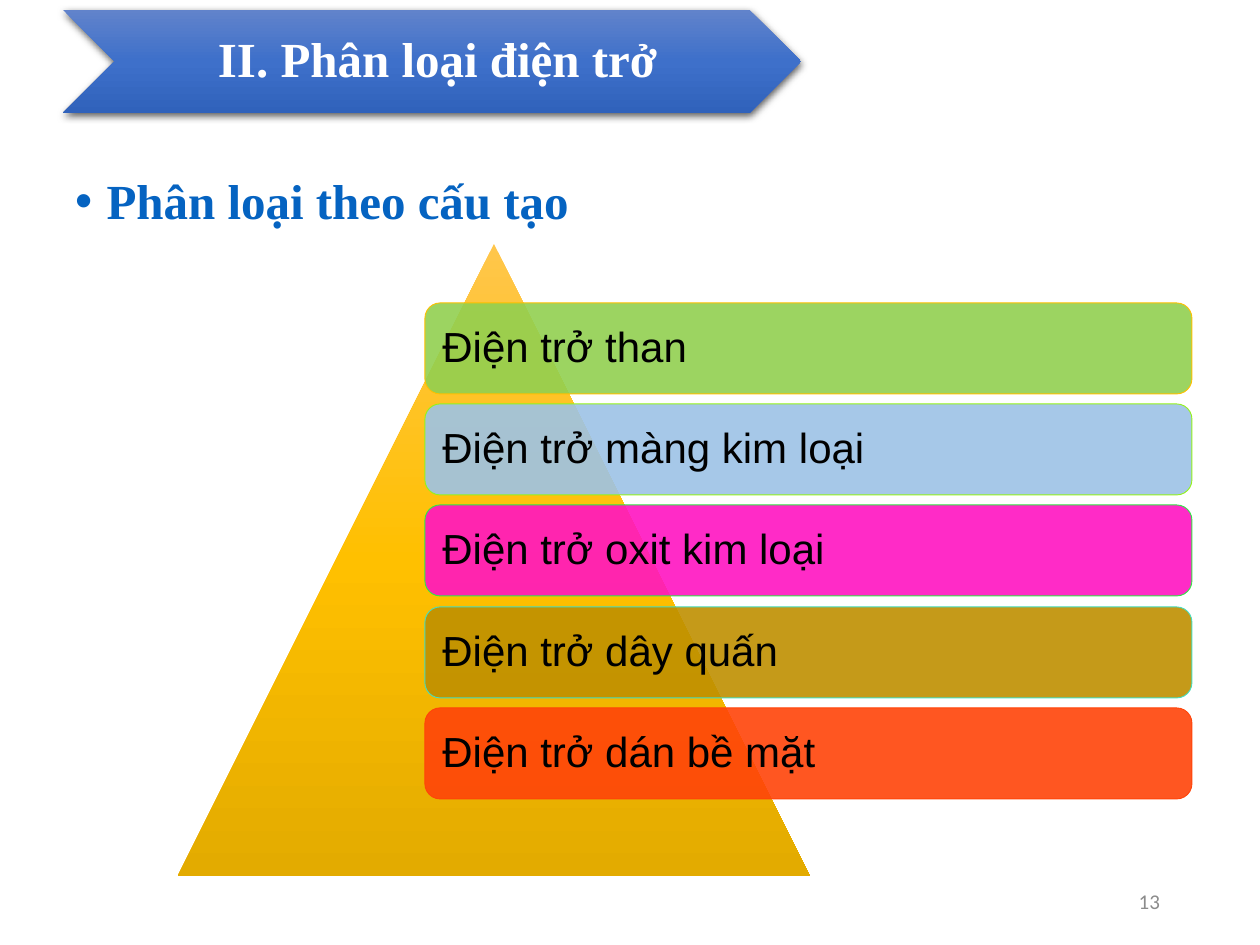
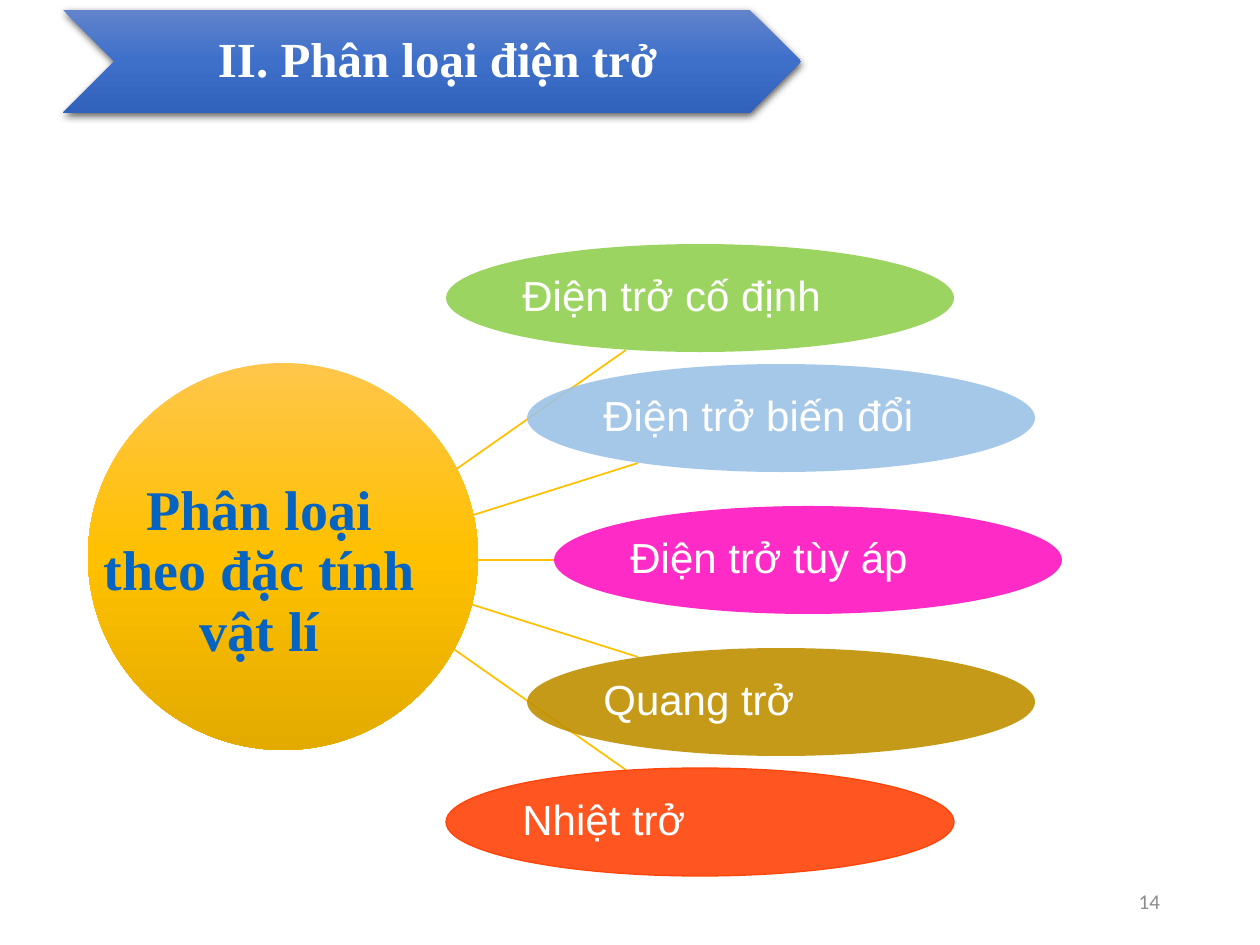
from lxml.etree import SubElement
from pptx import Presentation
from pptx.dml.color import RGBColor
from pptx.enum.shapes import MSO_CONNECTOR as Link, MSO_SHAPE as Preset
from pptx.enum.text import MSO_ANCHOR as Anchor, MSO_AUTO_SIZE as AutoSize, PP_ALIGN as Align
from pptx.oxml.ns import qn
from pptx.util import Emu, Pt

EMU_PER_PX = 914400 / 126
WHITE, BLACK, BLUE, GREY, GOLD = "FFFFFF", "000000", "0563C1", "8C8C8C", "FFC000"
BLUE_GRADIENT = ("6183CB", "3E70CA", "3062BB")
GOLD_GRADIENT = ("FFC64B", GOLD, "E3AB00")
ITEM_FILLS = ("92D050", "9DC3E6", "FF15C2", "BF9000", "FF4409")
BAR_LINES = (GOLD, "94F319", "30E845", "46DEBF", "FF4409")
SERIF, SANS, NUMBER_FONT = "Times New Roman", "Arial", "Calibri"
TITLE = "II. Phân loại điện trở"
STRUCTURE_TYPES = ("Điện trở than", "Điện trở màng kim loại", "Điện trở oxit kim loại",
                   "Điện trở dây quấn", "Điện trở dán bề mặt")
PHYSICAL_TYPES = ("Điện trở cố định", "Điện trở biến đổi", "Điện trở tùy áp",
                  "Quang trở", "Nhiệt trở")


def px(count):
    return Emu(round(count * EMU_PER_PX))


def color(hex_text):
    return RGBColor.from_string(hex_text)


def set_text(shape, text, font, size, hex_text, bold=False, align=Align.LEFT,
             anchor=Anchor.MIDDLE, insets=(13, 6, 13, 6), spacing=0.9):
    frame = shape.text_frame
    frame.word_wrap = True
    frame.auto_size = AutoSize.NONE
    frame.vertical_anchor = anchor
    (frame.margin_left, frame.margin_top,
     frame.margin_right, frame.margin_bottom) = map(px, insets)
    para = frame.paragraphs[0]
    para.text = text
    para.alignment = align
    para.line_spacing = spacing
    para.font.name = font
    para.font.size = Pt(size)
    para.font.bold = bold
    para.font.color.rgb = color(hex_text)
    return para


def add_text(page, box, *args, **options):
    return set_text(page.shapes.add_textbox(*map(px, box)), *args, **options)


def add_preset(page, preset, box):
    shape = page.shapes.add_shape(preset, *map(px, box))
    shape.shadow.inherit = False
    shape.line.fill.background()
    return shape


def add_gradient_preset(page, preset, box, gradient):
    shape = add_preset(page, preset, box)
    shape.fill.gradient()
    shape.fill.gradient_angle = 270
    stops = shape.element.spPr.find(".//" + qn("a:gsLst"))
    stops.clear()
    for position, hex_text in zip((0, 50000, 100000), gradient):
        stop = SubElement(stops, qn("a:gs"), pos=str(position))
        SubElement(stop, qn("a:srgbClr"), val=hex_text)
    return shape


def add_item(page, preset, box, fill, line, line_width, text, text_color, insets):
    shape = add_preset(page, preset, box)
    shape.fill.solid()
    shape.fill.fore_color.rgb = color(fill)
    fill_color = shape.element.spPr.find(qn("a:solidFill"))[0]
    SubElement(fill_color, qn("a:alpha"), val="90000")
    if line:
        shape.line.color.rgb = color(line)
        shape.line.width = Pt(line_width)
    set_text(shape, text, SANS, 24, text_color, insets=insets)


def add_banner(page, box):
    left, top, width, height = box
    chevron = add_gradient_preset(page, Preset.CHEVRON, box, BLUE_GRADIENT)
    effects = chevron.element.spPr.find(qn("a:effectLst"))
    shadow = SubElement(effects, qn("a:outerShdw"), blurRad="57150", dist="19050",
                        dir="5400000", algn="ctr", rotWithShape="0")
    shadow_color = SubElement(shadow, qn("a:srgbClr"), val=BLACK)
    SubElement(shadow_color, qn("a:alpha"), val="63000")

    title = page.shapes.title
    title.left, title.top = px(left + 52), px(top)
    title.width, title.height = px(width - 103), px(height)
    set_text(title, TITLE, SERIF, 28, WHITE, True, Align.CENTER, insets=(15, 5, 5, 5))
    chevron.element.addnext(title.element)


def add_subtitle(page, box, text):
    para = add_text(page, box, text, SERIF, 28, BLUE, True, anchor=Anchor.TOP)
    para.space_before = Pt(10)
    properties = para._p.get_or_add_pPr()
    properties.set("marL", "228600")
    properties.set("indent", "-228600")
    SubElement(properties, qn("a:buFont"), typeface=SANS)
    SubElement(properties, qn("a:buChar"), char="•")
    font_defaults = properties.find(qn("a:defRPr"))
    if font_defaults is not None:
        properties.append(font_defaults)


def add_pyramid(page, box):
    left, top, side, _ = box
    add_gradient_preset(page, Preset.ISOSCELES_TRIANGLE, box, GOLD_GRADIENT)
    for row, (text, fill, line) in enumerate(zip(STRUCTURE_TYPES, ITEM_FILLS, BAR_LINES)):
        bar = (left + 247, top + 59 + round(row * 101.25), 767, 91)
        add_item(page, Preset.ROUNDED_RECTANGLE, bar, fill, line, 0.5, text, BLACK,
                 (13, 13, 13, 13))


def add_spoke(page, start, end):
    spoke = page.shapes.add_connector(Link.STRAIGHT, *map(px, start + end))
    spoke.line.color.rgb = color(GOLD)
    spoke.line.width = Pt(1)
    SubElement(spoke.element.spPr, qn("a:effectLst"))


def add_radial(page, box):
    left, top, width, height = box
    middle = top + height // 2
    spokes = ((-45, 538, -210), (-19, 550, -97), (0, 466, 0), (19, 550, 97), (45, 538, 210))
    for start_offset, end_left, end_offset in spokes:
        add_spoke(page, (left + 303, middle + start_offset),
                  (left + end_left, middle + end_offset))

    add_gradient_preset(page, Preset.OVAL, (left, top + 119, 390, 387), GOLD_GRADIENT)
    oval_width, oval_height = 508, 108
    places = ((358, -262), (439, -142), (466, 0), (439, 142), (358, 262))
    for (oval_left, offset), text, fill in zip(places, PHYSICAL_TYPES, ITEM_FILLS):
        oval = (left + oval_left, middle + offset - oval_height // 2, oval_width, oval_height)
        line = fill if text == PHYSICAL_TYPES[-1] else None
        add_item(page, Preset.OVAL, oval, fill, line, 0.75, text, WHITE, (2, 2, 2, 2))

    para = add_text(page, (left, top + 232, 343, 187), "Phân loại theo đặc tính vật lí",
                    SERIF, 32, BLUE, True, Align.CENTER, Anchor.TOP)
    para.space_before = Pt(10)


def add_page(deck, number):
    page = deck.slides.add_slide(deck.slide_layouts[5])
    add_banner(page, (63, 10, 738, 103))
    add_text(page, (890, 876, 283, 50), str(number), NUMBER_FONT, 12, GREY,
             align=Align.RIGHT, spacing=1.0)
    return page


def main():
    deck = Presentation()
    deck.slide_width, deck.slide_height = px(1260), px(945)

    structure_page = add_page(deck, 13)
    add_subtitle(structure_page, (62, 171, 853, 73), "Phân loại theo cấu tạo")
    add_pyramid(structure_page, (178, 244, 632, 632))

    physical_page = add_page(deck, 14)
    add_radial(physical_page, (88, 244, 974, 632))

    deck.save("out.pptx")


if __name__ == "__main__":
    main()
